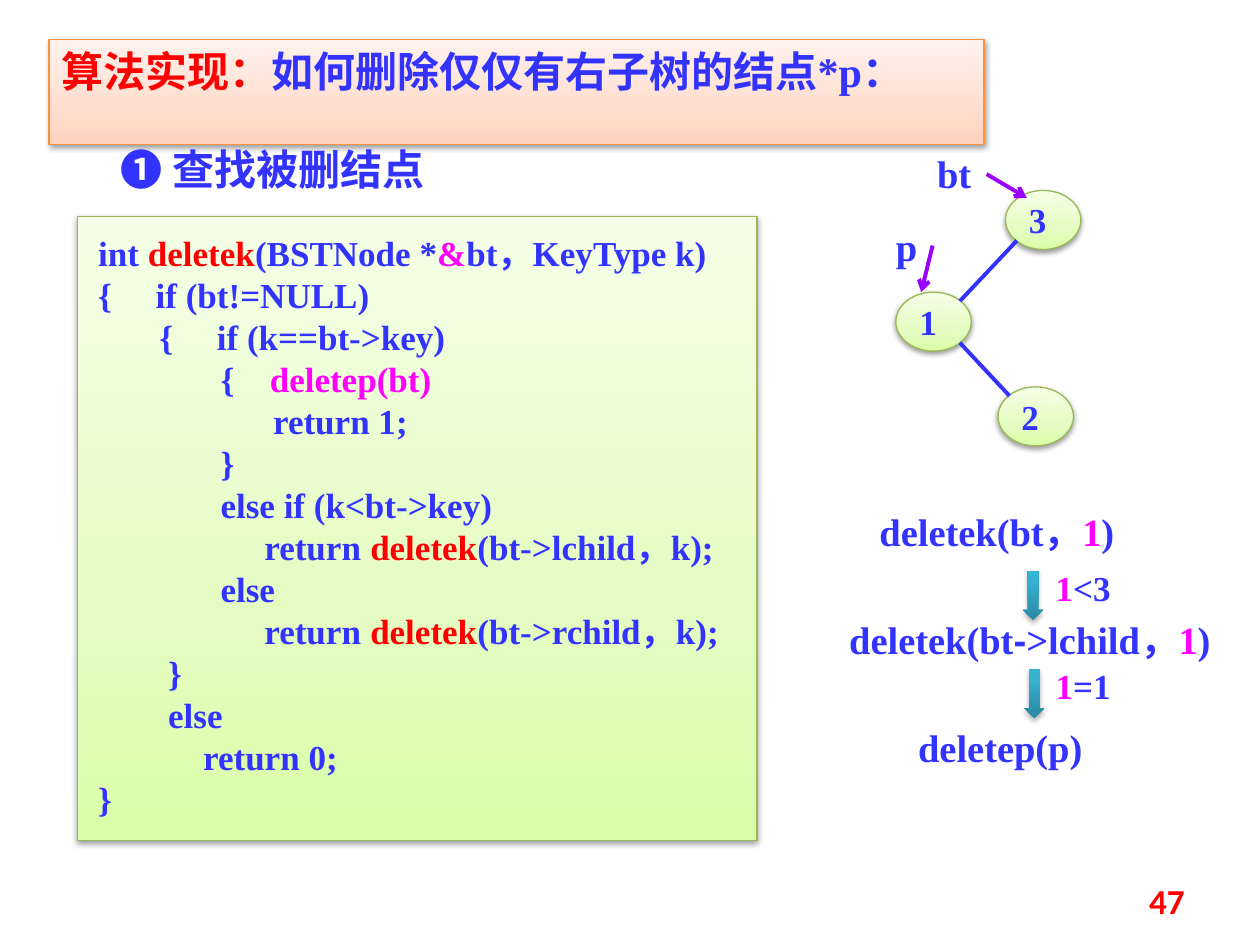
from typing import NamedTuple

from lxml.etree import SubElement as Sub
from pptx import Presentation
from pptx.dml.color import RGBColor
from pptx.enum.shapes import MSO_CONNECTOR as Link, MSO_SHAPE as Geo
from pptx.enum.text import MSO_ANCHOR as Anchor, MSO_AUTO_SIZE as Fit, PP_ALIGN as Align
from pptx.oxml.ns import qn
from pptx.util import Cm, Pt

BLUE, RED, PINK, VIOLET = "3333FF", "FF0000", "FF00FF", "9900FF"
PEACH = [(0, "FFD2BD"), (35, "FFDED0"), (100, "FFF2ED")]
LIME = [(0, "DAFDA7"), (35, "E4FCC2"), (100, "F5FFE7")]
TEAL = [(0, "2A88A2"), (80, "37B1D2"), (100, "34B4D6")]


class Run(NamedTuple):
    text: str
    color: str = BLUE
    face: str = "Times New Roman"


class Box(NamedTuple):
    x: float
    y: float
    w: float
    h: float

    def cm(self) -> list:
        return [Cm(v) for v in self]


class Label(NamedTuple):
    box: Box
    runs: list
    size: int = 22


class Node(NamedTuple):
    key: str
    x: float
    y: float


class Line(NamedTuple):
    x1: float
    y1: float
    x2: float
    y2: float


class Step(NamedTuple):
    x: float
    y: float
    test: str


def rgb(code: str) -> RGBColor:
    return RGBColor.from_string(code)


def write(shape, lines: list, size: int, **form) -> None:
    """Fill a shape with paragraphs, each a list of runs."""
    frame = shape.text_frame
    base = {"word_wrap": True, "auto_size": Fit.SHAPE_TO_FIT_TEXT,
            "vertical_anchor": Anchor.TOP}
    for name, value in (base | form).items():
        setattr(frame, name, value)
    for i, runs in enumerate(lines):
        para = frame.add_paragraph() if i else frame.paragraphs[0]
        para.alignment = Align.LEFT
        for run in runs:
            part = para.add_run()
            part.text = run.text
            look = {"size": Pt(size), "bold": True, "name": run.face}
            for name, value in look.items():
                setattr(part.font, name, value)
            part.font.color.rgb = rgb(run.color)


def paint(shape, stops: list, edge: str = "", alpha: int = 38) -> None:
    """Give a shape an upward gradient, an edge and a soft shadow below."""
    shape.fill.gradient()
    shape.fill.gradient_angle = 90
    props = shape._element.spPr
    ramp = props.find(".//" + qn("a:gsLst"))
    for old in list(ramp):
        ramp.remove(old)
    for pos, code in stops:
        stop = Sub(ramp, qn("a:gs"), pos=str(pos * 1000))
        Sub(stop, qn("a:srgbClr"), val=code)
    if edge:
        shape.line.color.rgb = rgb(edge)
        shape.line.width = Pt(0.75)
    else:
        shape.line.fill.background()
    shape.shadow.inherit = False
    cast = Sub(props.find(qn("a:effectLst")), qn("a:outerShdw"),
               blurRad=str(Pt(3.1)), dist=str(Pt(1.6)), dir="5400000", rotWithShape="0")
    tint = Sub(cast, qn("a:srgbClr"), val="000000")
    Sub(tint, qn("a:alpha"), val=str(alpha * 1000))


def add_label(shapes, label: Label):
    text = shapes.add_textbox(*label.box.cm())
    write(text, [label.runs], label.size)
    return text


def add_node(shapes, node: Node) -> None:
    oval = shapes.add_shape(Geo.OVAL, *Box(node.x, node.y, 1.52, 1.19).cm())
    paint(oval, LIME, "98B955")
    write(oval, [[Run(node.key)]], 20, word_wrap=False,
          auto_size=Fit.NONE, vertical_anchor=Anchor.MIDDLE)


def add_line(shapes, line: Line, color: str, arrow: bool = False) -> None:
    link = shapes.add_connector(Link.STRAIGHT, *[Cm(v) for v in line])
    link.line.color.rgb = rgb(color)
    link.line.width = Pt(2.25)
    if arrow:
        Sub(link.line._get_or_add_ln(), qn("a:tailEnd"), type="arrow")
    Sub(link._element.spPr, qn("a:effectLst"))


def add_step(shapes, step: Step) -> None:
    """Draw a down arrow with its test on the right."""
    arrow = shapes.add_shape(Geo.DOWN_ARROW, *Box(step.x, step.y, 0.41, 0.99).cm())
    paint(arrow, TEAL, alpha=35)
    box = Box(21.03, step.y - 0.21, 1.98, 1.12)
    add_label(shapes, Label(box, [Run("1", PINK), Run(step.test)], 20))


def call(child: str) -> list:
    return [Run("                   return "), Run("deletek", RED),
            Run(f"(bt->{child}，k);")]


CODE = [
    [Run("int "), Run("deletek", RED), Run("(BSTNode *"), Run("&", PINK),
     Run("bt，KeyType k)")],
    [Run("{     if (bt!=NULL)")],
    [Run("       {     if (k==bt->key)")],
    [Run("              {    "), Run("deletep(bt)", PINK)],
    [Run("                    return 1;")],
    [Run("              }")],
    [Run("              else if (k<bt->key)")],
    call("lchild"),
    [Run("              else")],
    call("rchild"),
    [Run("        }")],
    [Run("        else")],
    [Run("            return 0;")],
    [Run("}")],
]
NODES = [Node("3", 20.27, 3.84), Node("1", 18.06, 5.89), Node("2", 20.12, 7.8)]
EDGES = [Line(20.5, 4.85, 19.35, 6.07), Line(19.35, 6.91, 20.35, 7.98)]
POINTERS = [Line(19.89, 3.51, 20.7, 3.99), Line(18.8, 4.95, 18.57, 5.89)]
STEPS = [Step(20.62, 11.51, "<3"), Step(20.65, 13.49, "=1")]
ONE = [Run("1", PINK), Run(")")]
LABELS = [
    Label(Box(2.18, 2.77, 8.94, 1.27), [Run("❶ 查找被删结点")], 24),
    Label(Box(18.64, 2.9, 1.35, 1.19), [Run("bt")]),
    Label(Box(17.81, 4.37, 1.04, 0.97), [Run("p")]),
    Label(Box(17.48, 10.11, 6.55, 1.19), [Run("deletek(bt，"), *ONE]),
    Label(Box(16.87, 12.29, 8.03, 1.19),
          [Run("deletek(bt"), Run("-", face="Arial"), Run(">lchild，"), *ONE]),
    Label(Box(18.26, 14.48, 5.16, 1.19), [Run("deletep(p)")]),
]


def main() -> None:
    deck = Presentation()
    deck.slide_width, deck.slide_height = Cm(25.4), Cm(19.05)
    shapes = deck.slides.add_slide(deck.slide_layouts[5]).shapes

    title = shapes.title
    title.left, title.top, title.width, title.height = Box(0.99, 0.79, 18.85, 1.27).cm()
    paint(title, PEACH, "F69240")
    write(title, [[Run("算法实现：", RED), Run("如何删除仅仅有右子树的结点*p：")]], 24)

    code = shapes.add_shape(Geo.RECTANGLE, *Box(1.57, 4.37, 13.69, 12.57).cm())
    paint(code, LIME, "98B955")
    write(code, CODE, 20, margin_left=Cm(0.41), margin_right=Cm(0.41),
          margin_top=Cm(0.3), margin_bottom=Cm(0.3), auto_size=Fit.NONE)
    for para in code.text_frame.paragraphs:
        para.line_spacing = Pt(24)

    for node in NODES:
        add_node(shapes, node)
    for edge in EDGES:
        add_line(shapes, edge, BLUE)
    for line in POINTERS:
        add_line(shapes, line, VIOLET, arrow=True)
    for label in LABELS:
        add_label(shapes, label)
    for step in STEPS:
        add_step(shapes, step)

    page = add_label(shapes, Label(Box(18.21, 17.65, 5.92, 1.02),
                                   [Run("47", RED, "Calibri")], 20))
    page.text_frame.vertical_anchor = Anchor.MIDDLE
    page.text_frame.paragraphs[0].alignment = Align.RIGHT
    deck.save("out.pptx")


if __name__ == "__main__":
    main()
